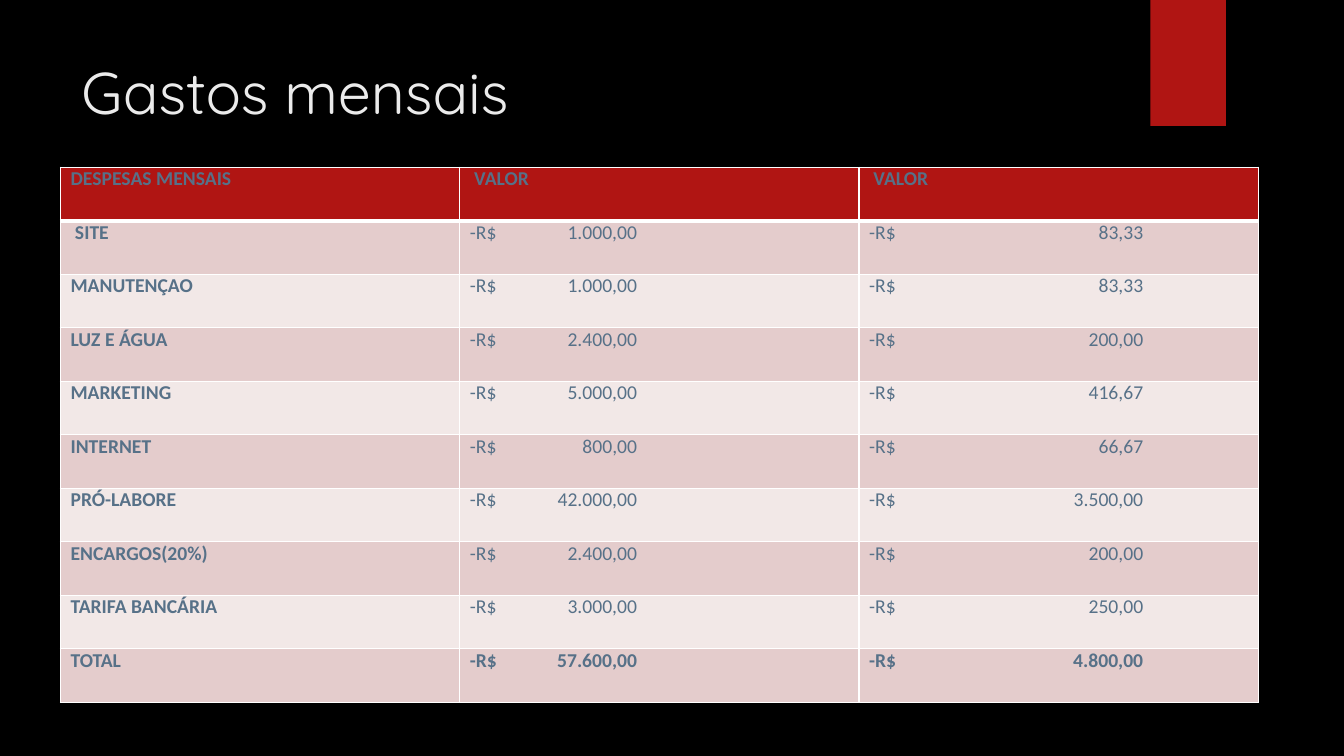
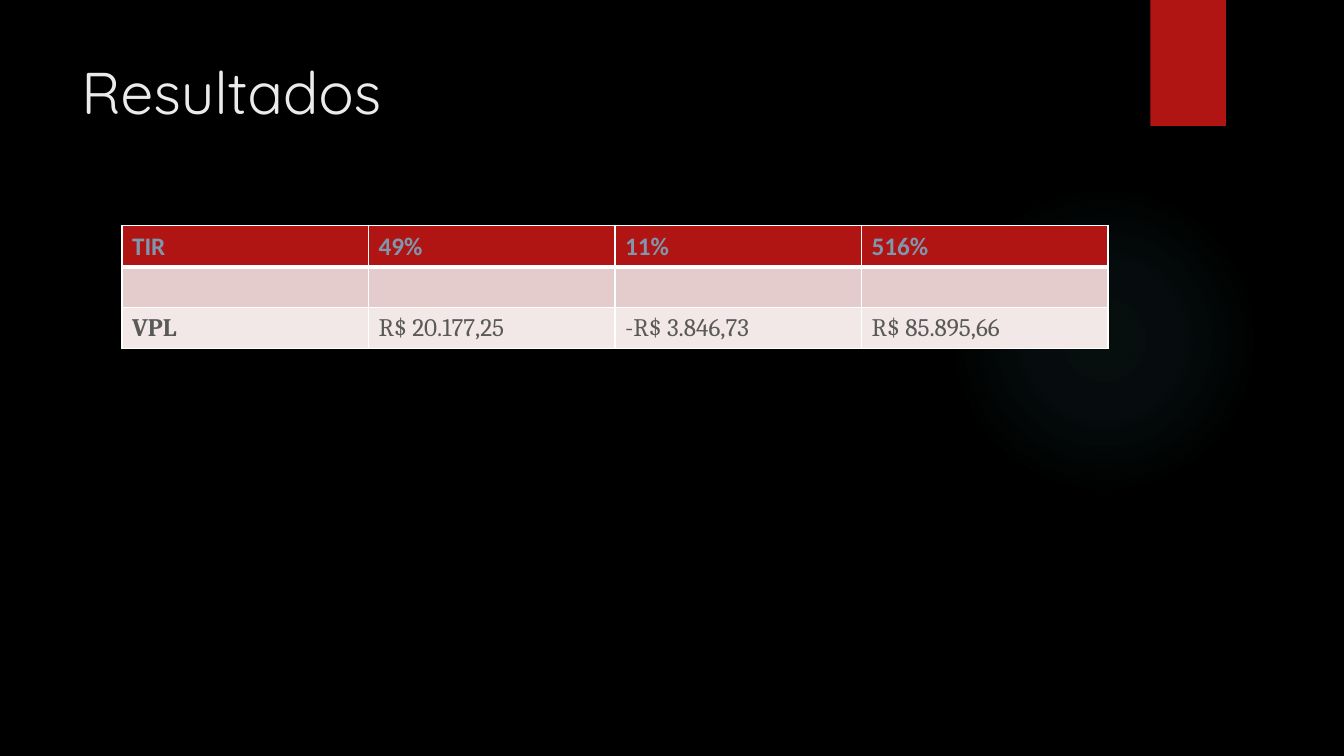
from lxml import etree
from pptx import Presentation
from pptx.dml.color import RGBColor
from pptx.enum import shapes, text
from pptx.oxml import parse_xml
from pptx.oxml.ns import qn
from pptx.util import Inches, Pt

# Shared colours
BLACK = RGBColor(0x00, 0x00, 0x00)
RED = RGBColor(0xB0, 0x15, 0x13)
PALE = RGBColor(0xEB, 0xEB, 0xEB)
ROSE = RGBColor(0xE4, 0xCC, 0xCC)
BLUSH = RGBColor(0xF2, 0xE8, 0xE7)
WHITE = RGBColor(0xFF, 0xFF, 0xFF)
TEAL = RGBColor(0x50, 0xB9, 0xC1)
SLATE = RGBColor(0x57, 0x71, 0x88)
STEEL = RGBColor(0x7E, 0x97, 0xAD)
GREY = RGBColor(0x59, 0x59, 0x59)

# Content
COSTS = [
    ("DESPESAS MENSAIS", " VALOR", " VALOR"),
    (" SITE", "-R$\t1.000,00", "-R$\t83,33"),
    ("MANUTENÇAO", "-R$\t1.000,00", "-R$\t83,33"),
    ("LUZ E ÁGUA", "-R$\t2.400,00", "-R$\t200,00"),
    ("MARKETING", "-R$\t5.000,00", "-R$\t416,67"),
    ("INTERNET", "-R$\t800,00", "-R$\t66,67"),
    ("PRÓ-LABORE", "-R$\t42.000,00", "-R$\t3.500,00"),
    ("ENCARGOS(20%)", "-R$\t2.400,00", "-R$\t200,00"),
    ("TARIFA BANCÁRIA", "-R$\t3.000,00", "-R$\t250,00"),
    ("TOTAL", "-R$\t57.600,00", "-R$\t4.800,00"),
]
RESULTS = [
    ("TIR", "49%", "11%", "516%"),
    ("", "", "", ""),
    ("VPL", "R$ 20.177,25", "-R$ 3.846,73", "R$ 85.895,66"),
]
HEAD = dict(size=18, font="Calibri", color=STEEL)
BODY = dict(size=18, font="Cambria", color=GREY)
PLAIN = dict(size=14, font="Calibri", color=SLATE)
SLIDES = [
    dict(title="Gastos mensais", rows=COSTS, at=(0.6, 1.66, 11.88, 5.31),
         head=PLAIN, body=PLAIN, tabs=(None, 1.66, 2.72), total=True),
    dict(title="Resultados", rows=RESULTS, at=(1.21, 2.24, 9.78, 1.22),
         head=HEAD, body=BODY, line=1.2, before=2),
]


def write(frame, words, size, font, color, bold=False, line=None, before=None, tab=None):
    """Fill a text frame with one formatted paragraph."""
    para = frame.paragraphs[0]
    if line:
        para.line_spacing = line
    if before:
        para.space_before = Pt(before)
    if tab:
        tabs = etree.SubElement(para._p.get_or_add_pPr(), qn("a:tabLst"))
        etree.SubElement(tabs, qn("a:tab"), pos=str(Inches(tab)), algn="r")
    run = para.add_run()
    run.text = words
    run.font.size, run.font.name, run.font.bold = Pt(size), font, bold
    run.font.color.rgb = color


def add_shape(slide, kind, at, color):
    shape = slide.shapes.add_shape(kind, *map(Inches, at))
    shape.shadow.inherit = False
    shape.fill.solid()
    shape.fill.fore_color.rgb = color
    shape.line.fill.background()
    return shape


def glow(shape):
    """Turn the solid fill into a soft radial gradient."""
    stops = "".join(
        f'<a:gs pos="{pos}000"><a:srgbClr val="{TEAL}"><a:alpha val="{alpha}000"/>'
        "</a:srgbClr></a:gs>" for pos, alpha in ((0, 7), (36, 6), (69, 0)))
    grad = parse_xml(
        '<a:gradFill xmlns:a="http://schemas.openxmlformats.org/drawingml/2006/main">'
        f'<a:gsLst>{stops}</a:gsLst><a:path path="circle">'
        '<a:fillToRect l="50000" t="50000" r="50000" b="50000"/></a:path></a:gradFill>')
    props = shape._element.spPr
    props.replace(props.find(qn("a:solidFill")), grad)


def border(cell, **widths):
    """Draw white borders, widths in points by side."""
    props = cell._tc.get_or_add_tcPr()
    for side in "LRTB":
        edge = etree.SubElement(props, qn(f"a:ln{side}"), w=str(Pt(widths.get(side, 1))))
        fill = etree.SubElement(edge, qn("a:solidFill"))
        etree.SubElement(fill, qn("a:srgbClr"), val=str(WHITE))


def add_table(slide, rows, at, head, body, tabs=None, total=False, **spacing):
    count, wide = len(rows), len(rows[0])
    table = slide.shapes.add_table(count, wide, *map(Inches, at)).table
    table.first_row = table.horz_banding = False
    for col in table.columns:
        col.width = Inches(at[2] / wide)
    for r, row in enumerate(rows):
        table.rows[r].height = Inches(at[3] / count)
        for c, words in enumerate(row):
            cell = table.cell(r, c)
            border(cell, B=3 if r == 0 else 1, T=3 if r == 1 else 1)
            cell.fill.solid()
            cell.fill.fore_color.rgb = RED if r == 0 else ROSE if r % 2 else BLUSH
            cell.margin_left = Inches(0.1)
            cell.margin_right = cell.margin_top = cell.margin_bottom = 0
            if words:
                bold = r == 0 or c == 0 or (total and r == count - 1)
                tab = tabs[c] if "\t" in words else None
                write(cell.text_frame, words, bold=bold, tab=tab,
                      **(body if r else head), **spacing)


def add_base(deck, title):
    """Add a slide with the shared background, glow, red tab and title."""
    slide = deck.slides.add_slide(deck.slide_layouts[6])
    slide.background.fill.solid()
    slide.background.fill.fore_color.rgb = BLACK
    kinds = shapes.MSO_SHAPE
    glow(add_shape(slide, kinds.OVAL, (9.41, 1.83, 3.08, 3.08), TEAL))
    add_shape(slide, kinds.RECTANGLE, (11.41, 0, 0.75, 1.25), RED)
    frame = slide.shapes.add_textbox(*map(Inches, (0.71, 0.5, 10.29, 1.53))).text_frame
    frame.word_wrap = True
    frame.vertical_anchor = text.MSO_ANCHOR.TOP
    write(frame, title, size=42, font="Quicksand", color=PALE)
    return slide


def main():
    deck = Presentation()
    deck.slide_width, deck.slide_height = Inches(13.33), Inches(7.5)
    for item in SLIDES:
        parts = dict(item)
        slide = add_base(deck, parts.pop("title"))
        add_table(slide, **parts)
    deck.save("out.pptx")


if __name__ == "__main__":
    main()
